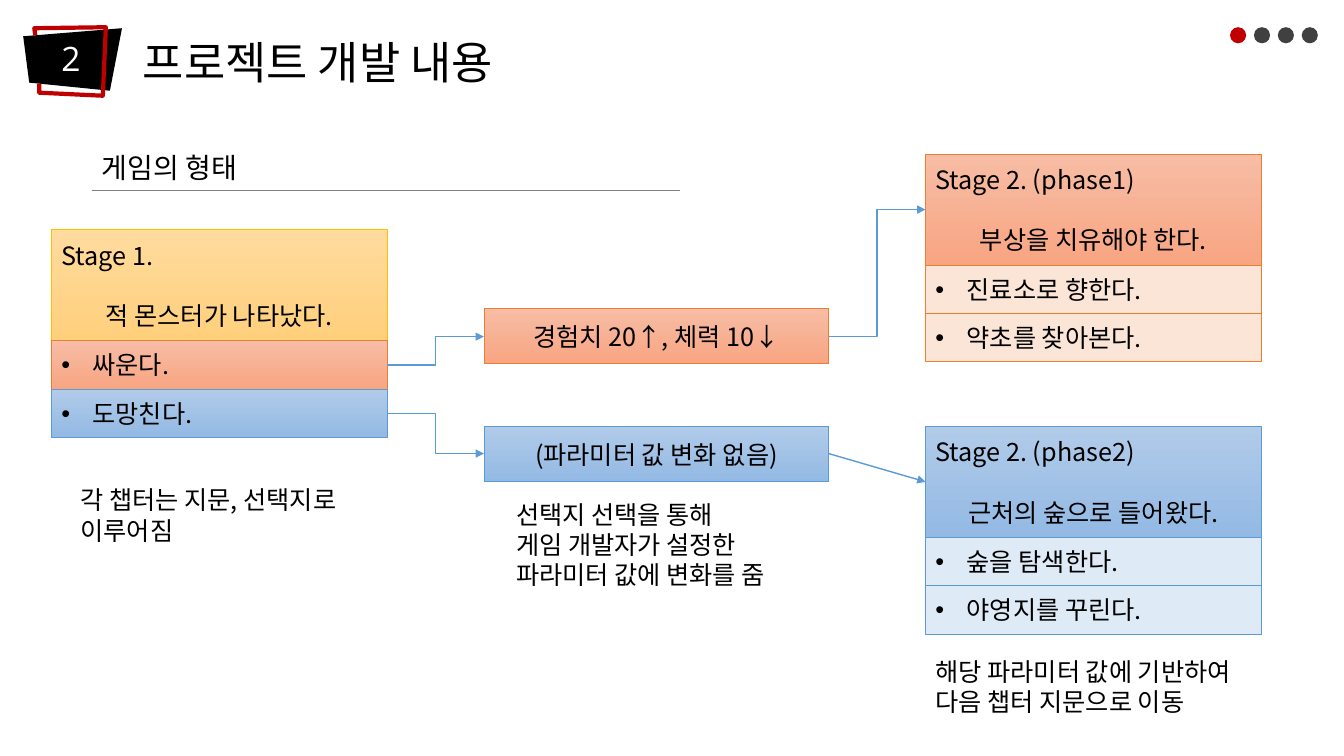
from pptx import Presentation
from pptx.dml.color import RGBColor
from pptx.enum import shapes, text
from pptx.oxml import ns, xmlchemy
from pptx.util import Inches, Pt

KOREAN, LATIN = "Noto Sans CJK KR", "Open Sans"
BLACK = RGBColor(0, 0, 0)
WHITE = RGBColor(255, 255, 255)
RED = RGBColor(0xC0, 0, 0)
DARK = RGBColor(0x40, 0x40, 0x40)
GRAY = RGBColor(0x80, 0x80, 0x80)
GOLD = RGBColor(0xFF, 0xC0, 0)
ORANGE = RGBColor(0xED, 0x7D, 0x31)
BLUE = RGBColor(0x5B, 0x9B, 0xD5)
PEACH = RGBColor(0xFB, 0xE5, 0xD6)
PALE = RGBColor(0xDE, 0xEB, 0xF7)
# Gradients run from top to bottom
SAND = [RGBColor(0xFF, 0xDB, 0x9E), RGBColor(0xFF, 0xD0, 0x7C)]
CORAL = [RGBColor(0xF7, 0xBD, 0xA5), RGBColor(0xF8, 0xA5, 0x82)]
SKY = [RGBColor(0xB1, 0xCB, 0xE9), RGBColor(0x93, 0xB9, 0xE4)]

LEFT, MID = text.PP_ALIGN.LEFT, text.PP_ALIGN.CENTER
CARD_W, HEAD_H, ROW_H = 3.33, 1.1, 0.48


def add(parent, tag, **attrs):
    node = xmlchemy.OxmlElement(tag)
    for key, value in attrs.items():
        node.set(key, value)
    parent.append(node)
    return node


def write(shape, lines, size=18, font=KOREAN, color=BLACK, aligns=(LEFT,),
          bullet=False, gap=0, spacing=None, wrap=True,
          anchor=text.MSO_ANCHOR.TOP):
    frame = shape.text_frame
    frame.word_wrap = wrap
    frame.vertical_anchor = anchor
    for i, line in enumerate(lines):
        para = frame.paragraphs[0] if i == 0 else frame.add_paragraph()
        if bullet:
            props = para._p.get_or_add_pPr()
            props.set("marL", str(Inches(0.31)))
            props.set("indent", str(-Inches(0.31)))
            add(props, "a:buFont", typeface="Arial")
            add(props, "a:buChar", char="•")
        para.alignment = aligns[i % len(aligns)]
        if i and gap:
            para.space_before = Pt(gap)
        if spacing:
            para.line_spacing = spacing
        run = para.add_run()
        run.text = line
        run.font.size = Pt(size)
        run.font.name = font
        run.font.color.rgb = color
        add(run._r.get_or_add_rPr(), "a:ea", typeface=font)


def label(slide, x, y, w, h, lines, **style):
    box = slide.shapes.add_textbox(Inches(x), Inches(y), Inches(w), Inches(h))
    write(box, lines, **style)


def paint(shape, fill, edge=None, width=0.5):
    shape.shadow.inherit = False
    if fill is None:
        shape.fill.background()
    elif isinstance(fill, list):
        shape.fill.gradient()
        shape.fill.gradient_angle = 270
        for stop, color in zip(shape.fill.gradient_stops, fill):
            stop.color.rgb = color
    else:
        shape.fill.solid()
        shape.fill.fore_color.rgb = fill
    if edge is None:
        shape.line.fill.background()
    else:
        shape.line.color.rgb = edge
        shape.line.width = Pt(width)


def block(slide, x, y, w, h, lines, fill, edge, **style):
    box = slide.shapes.add_shape(shapes.MSO_SHAPE.RECTANGLE, Inches(x),
                                 Inches(y), Inches(w), Inches(h))
    paint(box, fill, edge)
    write(box, lines, anchor=text.MSO_ANCHOR.MIDDLE, **style)


def card(slide, x, y, title, story, fill, edge, rows):
    """Stage heading with its choices stacked below."""
    block(slide, x, y, CARD_W, HEAD_H, [title, story], fill, edge,
          aligns=(LEFT, MID), gap=21.6)
    for i, (choice, tint, rim) in enumerate(rows):
        block(slide, x, y + HEAD_H + i * ROW_H, CARD_W, ROW_H, [choice],
              tint, rim, bullet=True)


def link(slide, start, end, color=BLUE, width=1, bent=False, arrow=True):
    kind = shapes.MSO_CONNECTOR.ELBOW if bent else shapes.MSO_CONNECTOR.STRAIGHT
    wire = slide.shapes.add_connector(kind, *map(Inches, start + end))
    wire.line.color.rgb = color
    wire.line.width = Pt(width)
    if arrow:
        add(wire.line._get_or_add_ln(), "a:tailEnd", type="triangle")
    add(wire._element.find(ns.qn("p:spPr")), "a:effectLst")


def outline(slide, x, y, points, fill=None, edge=None, close=True):
    spots = [(Inches(x + dx), Inches(y + dy)) for dx, dy in points]
    pen = slide.shapes.build_freeform(*spots[0])
    pen.add_line_segments(spots[1:], close=close)
    paint(pen.convert_to_shape(), fill, edge, 3)


def header(slide, x, y):
    # Number badge
    outline(slide, x, y, [(0, 0.09), (0.06, 0.55), (0.86, 0.63), (0.98, 0.01)],
            fill=BLACK)
    outline(slide, x, y, [(0.12, 0.08), (0.11, 0.01), (0.82, 0), (0.79, 0.68),
                          (0.16, 0.65), (0.16, 0.56)], edge=RED, close=False)
    label(slide, x + 0.28, y + 0.06, 0.38, 0.5, ["2"], size=24, font=LATIN,
          color=WHITE, wrap=False)
    # Title
    label(slide, x + 1.09, y + 0.03, 4.36, 0.64, ["프로젝트 개발 내용"], size=32)


def dots(slide, x, y):
    for i in range(4):
        dot = slide.shapes.add_shape(
            shapes.MSO_SHAPE.OVAL, Inches(x + i * 0.237), Inches(y),
            Inches(0.16), Inches(0.16))
        paint(dot, DARK if i else RED)


def flow(slide, x, y):
    """Stages, results and the arrows between them."""
    mid, right = x + 4.29, x + 8.67
    edge, out = x + CARD_W, mid + 3.42
    top, low = y + 0.78, y + 1.95
    card(slide, x, y, "Stage 1.", "적 몬스터가 나타났다.", SAND, GOLD,
         [("싸운다.", CORAL, ORANGE), ("도망친다.", SKY, BLUE)])
    # Results
    for line, place, fill, rim in [
            ("경험치 20↑, 체력 10↓", top, CORAL, ORANGE),
            ("(파라미터 값 변화 없음)", low, SKY, BLUE)]:
        block(slide, mid, place, 3.42, 0.55, [line], fill, rim, aligns=(MID,))
    # Next stages
    card(slide, right, y - 0.75, "Stage 2. (phase1)", "부상을 치유해야 한다.",
         CORAL, ORANGE, [("진료소로 향한다.", PEACH, ORANGE),
                         ("약초를 찾아본다.", PEACH, ORANGE)])
    card(slide, right, low, "Stage 2. (phase2)", "근처의 숲으로 들어왔다.",
         SKY, BLUE, [("숲을 탐색한다.", PALE, BLUE),
                     ("야영지를 꾸린다.", PALE, BLUE)])
    # Arrows
    first = y + HEAD_H + ROW_H / 2
    link(slide, (edge, first), (mid, top + 0.28), bent=True)
    link(slide, (edge, first + ROW_H), (mid, low + 0.27), bent=True)
    link(slide, (out, low + 0.27), (right, low + HEAD_H / 2))
    link(slide, (out, top + 0.28), (right, y - 0.75 + HEAD_H / 2), bent=True)
    # Captions
    label(slide, x + 0.19, y + 2.48, 3.05, 0.71,
          ["각 챕터는 지문, 선택지로", "이루어짐"], wrap=False)
    label(slide, x + 4.51, y + 2.62, 2.99, 1.01,
          ["선택지 선택을 통해", "게임 개발자가 설정한", "파라미터 값에 변화를 줌"],
          wrap=False)
    label(slide, right, y + 4.18, 3.5, 0.71,
          ["해당 파라미터 값에 기반하여", "다음 챕터 지문으로 이동"], wrap=False)


def section(slide, x, y):
    label(slide, x, y, 3.56, 0.54, ["게임의 형태"], size=20, spacing=1.5)
    link(slide, (x, y + 0.61), (x + 5.83, y + 0.61), GRAY, 0.25, arrow=False)


def main():
    deck = Presentation()
    deck.slide_width, deck.slide_height = Inches(13.33), Inches(7.5)
    slide = deck.slides.add_slide(deck.slide_layouts[6])
    header(slide, 0.23, 0.27)
    dots(slide, 12.2, 0.27)
    section(slide, 0.91, 1.28)
    flow(slide, 0.51, 2.28)
    deck.save("out.pptx")


if __name__ == "__main__":
    main()
